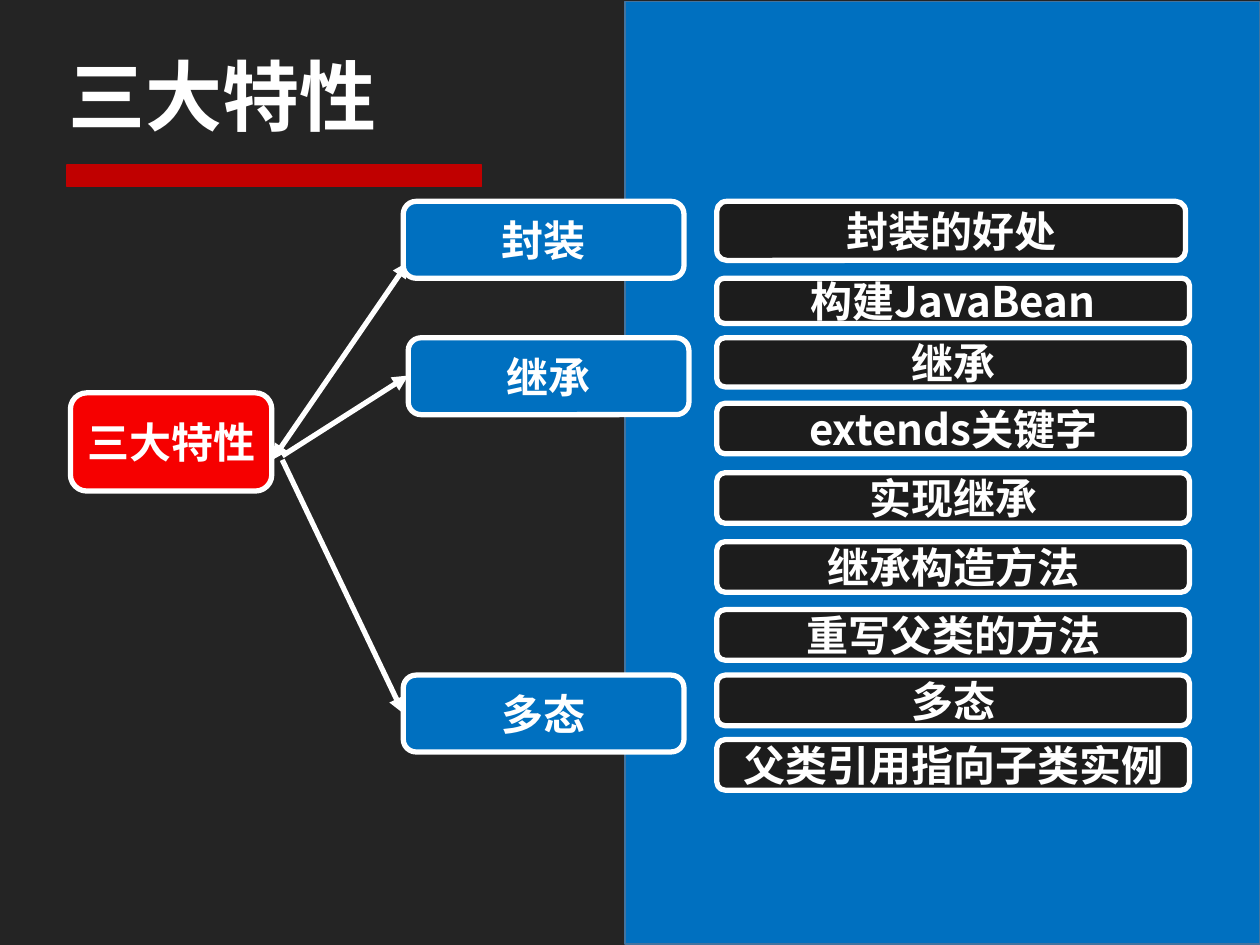
from lxml import etree
from pptx import Presentation
from pptx.dml.color import RGBColor
from pptx.enum.shapes import MSO_CONNECTOR, MSO_SHAPE
from pptx.enum.text import MSO_ANCHOR, PP_ALIGN
from pptx.oxml.ns import qn
from pptx.util import Cm, Pt

RECT = MSO_SHAPE.RECTANGLE
ROUND = MSO_SHAPE.FLOWCHART_ALTERNATE_PROCESS
LINE = MSO_CONNECTOR.STRAIGHT
MIDDLE = MSO_ANCHOR.MIDDLE
LEFT, CENTER = PP_ALIGN.LEFT, PP_ALIGN.CENTER

DARK = RGBColor(0x24, 0x24, 0x24)
BLACK = RGBColor(0x1C, 0x1C, 0x1C)
BLUE = RGBColor(0x00, 0x70, 0xC0)
EDGE = RGBColor(0x43, 0x73, 0x9E)
RED = RGBColor(0xF6, 0x00, 0x00)
CRIMSON = RGBColor(0xC0, 0x00, 0x00)
WHITE = RGBColor(0xFF, 0xFF, 0xFF)
FONT = "Noto Sans CJK SC"

deck = Presentation()
deck.slide_width, deck.slide_height = Cm(25.4), Cm(19.05)
slide = deck.slides.add_slide(deck.slide_layouts[6])
slide.background.fill.solid()
slide.background.fill.fore_color.rgb = DARK


def write(shape, text, size=24, align=CENTER, wrap=False, pad=(0.28, 0.13)):
    frame = shape.text_frame
    frame.word_wrap = wrap
    frame.vertical_anchor = MIDDLE
    frame.margin_left = frame.margin_right = Cm(pad[0])
    frame.margin_top = frame.margin_bottom = Cm(pad[1])
    para = frame.paragraphs[0]
    para.alignment = align
    run = para.add_run()
    run.text = text
    font = run.font
    font.name, font.size, font.bold = FONT, Pt(size), True
    font.color.rgb = WHITE
    etree.SubElement(run._r.get_or_add_rPr(), qn("a:ea"), typeface=FONT)


def draw(kind, box, fill, edge=WHITE, width=3):
    shape = slide.shapes.add_shape(kind, *[Cm(v) for v in box])
    shape.shadow.inherit = False
    shape.fill.solid()
    shape.fill.fore_color.rgb = fill
    shape.line.color.rgb = edge
    shape.line.width = Pt(width)
    return shape


# Right panel, title and its underline
draw(RECT, (12.6, 0.03, 12.8, 19), BLUE, EDGE, 1)
title = slide.shapes.add_textbox(Cm(1.14), Cm(0.58), Cm(23.09), Cm(2.64))
write(title, "三大特性", size=44, align=LEFT, wrap=True, pad=(0.25, 0.13))
draw(RECT, (1.35, 3.33, 8.36, 0.43), CRIMSON, CRIMSON, 1)

# Root topic
write(draw(ROUND, (1.42, 7.92, 4.06, 1.98), RED), "三大特性")

# Arrows from the root: start, end, arrowheads
arrows = [
    ((5.49, 9.27), (8.23, 5.28), ("headEnd", "tailEnd")),
    ((5.69, 9.19), (8.23, 7.57), ("tailEnd",)),
    ((5.69, 9.27), (8.13, 14.38), ("tailEnd",)),
]
for start, end, tips in arrows:
    arrow = slide.shapes.add_connector(LINE, *[Cm(v) for v in start + end])
    arrow.line.color.rgb = WHITE
    arrow.line.width = Pt(3)
    for tip in tips:
        etree.SubElement(arrow.line._get_or_add_ln(), qn("a:" + tip), type="triangle")
    etree.SubElement(arrow._element.spPr, qn("a:effectLst"))

# Three branches
for text, left, top in [("封装", 8.13, 4.06), ("继承", 8.23, 6.81), ("多态", 8.13, 13.61)]:
    write(draw(ROUND, (left, top, 5.66, 1.55), BLUE), text)

# Details of each branch: text, top, width, height
details = [
    ("封装的好处", 4.06, 9.45, 1.19),
    ("构建JavaBean", 5.61, 9.53, 0.91),
    ("继承", 6.81, 9.53, 0.99),
    ("extends关键字", 8.13, 9.53, 1.02),
    ("实现继承", 9.53, 9.53, 1.02),
    ("继承构造方法", 10.92, 9.53, 1.02),
    ("重写父类的方法", 12.29, 9.53, 1.02),
    ("多态", 13.61, 9.53, 1.02),
    ("父类引用指向子类实例", 14.91, 9.53, 1.02),
]
for text, top, width, height in details:
    write(draw(ROUND, (14.45, top, width, height), BLACK), text)

deck.save("out.pptx")
